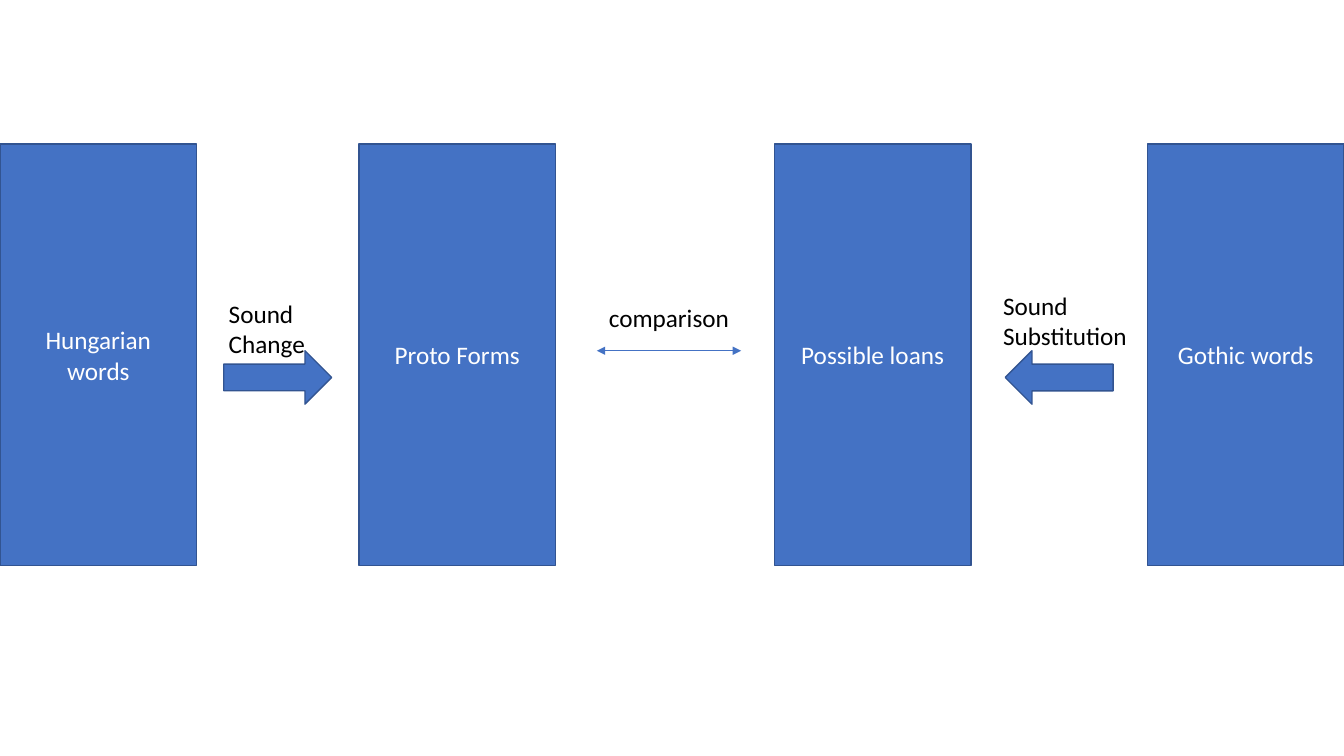
from dataclasses import dataclass

import lxml.etree
import pptx
import pptx.dml.color
import pptx.enum.shapes
import pptx.enum.text
import pptx.oxml.ns
import pptx.shapes.autoshape
import pptx.slide
import pptx.text.text
import pptx.util

Inches = pptx.util.Inches
COLORS = {"fill": "4472C4", "outline": "325491", "light": "FFFFFF", "dark": "000000"}
FONT = "Calibri"
STAGE_TOP, STAGE_WIDTH, STAGE_HEIGHT = 1.43, 1.95, 4.18
ARROW_TOP, ARROW_WIDTH, ARROW_HEIGHT = 3.48, 1.07, 0.53


@dataclass
class Stage:
    text: str
    left: float


@dataclass
class BlockArrow:
    left: float
    rotation: int


@dataclass
class Label:
    text: str
    left: float
    top: float
    width: float
    height: float


STAGES = [
    Stage("Hungarian\nwords", 0),
    Stage("Possible loans", 7.68),
    Stage("Proto Forms", 3.56),
    Stage("Gothic words", 11.38),
]
BLOCK_ARROWS = [BlockArrow(2.22, 0), BlockArrow(9.97, 180)]
LABELS = [
    Label("Sound Change", 2.17, 2.91, 1.31, 0.71),
    Label("Sound\nSubstitution", 9.85, 2.83, 1.53, 0.71),
    Label("comparison", 5.94, 2.95, 1.48, 0.4),
]


def color(name: str) -> pptx.dml.color.RGBColor:
    return pptx.dml.color.RGBColor.from_string(COLORS[name])


def write_text(frame: pptx.text.text.TextFrame, text: str, color_name: str,
               alignment: pptx.enum.text.PP_ALIGN) -> None:
    frame.word_wrap = True
    frame.text = text
    for para in frame.paragraphs:
        para.alignment = alignment
        para.font.name = FONT
        para.font.size = pptx.util.Pt(18)
        para.font.color.rgb = color(color_name)


def add_block(page: pptx.slide.Slide, kind: pptx.enum.shapes.MSO_SHAPE, left: float,
              top: float, width: float, height: float) -> pptx.shapes.autoshape.Shape:
    block = page.shapes.add_shape(
        kind, Inches(left), Inches(top), Inches(width), Inches(height))
    block.shadow.inherit = False
    block.fill.solid()
    block.fill.fore_color.rgb = color("fill")
    block.line.color.rgb = color("outline")
    block.line.width = pptx.util.Pt(1)
    return block


def add_stage(page: pptx.slide.Slide, stage: Stage) -> None:
    box = add_block(page, pptx.enum.shapes.MSO_SHAPE.RECTANGLE,
                    stage.left, STAGE_TOP, STAGE_WIDTH, STAGE_HEIGHT)
    box.text_frame.vertical_anchor = pptx.enum.text.MSO_ANCHOR.MIDDLE
    write_text(box.text_frame, stage.text, "light", pptx.enum.text.PP_ALIGN.CENTER)


def add_block_arrow(page: pptx.slide.Slide, arrow: BlockArrow) -> None:
    shape = add_block(page, pptx.enum.shapes.MSO_SHAPE.RIGHT_ARROW,
                      arrow.left, ARROW_TOP, ARROW_WIDTH, ARROW_HEIGHT)
    shape.rotation = arrow.rotation


def add_double_arrow(page: pptx.slide.Slide, start: float, end: float, y: float) -> None:
    link = page.shapes.add_connector(
        pptx.enum.shapes.MSO_CONNECTOR.STRAIGHT,
        Inches(start), Inches(y), Inches(end), Inches(y))
    link.line.color.rgb = color("fill")
    link.line.width = pptx.util.Pt(0.5)
    outline = link.line._get_or_add_ln()
    for tag in ("a:headEnd", "a:tailEnd"):
        lxml.etree.SubElement(outline, pptx.oxml.ns.qn(tag), type="triangle")
    lxml.etree.SubElement(link._element.spPr, pptx.oxml.ns.qn("a:effectLst"))


def add_label(page: pptx.slide.Slide, label: Label) -> None:
    box = page.shapes.add_textbox(Inches(label.left), Inches(label.top),
                                  Inches(label.width), Inches(label.height))
    write_text(box.text_frame, label.text, "dark", pptx.enum.text.PP_ALIGN.LEFT)
    box.text_frame.auto_size = pptx.enum.text.MSO_AUTO_SIZE.SHAPE_TO_FIT_TEXT


def main() -> None:
    deck = pptx.Presentation()
    deck.slide_width, deck.slide_height = Inches(13.33), Inches(7.5)
    page = deck.slides.add_slide(deck.slide_layouts.get_by_name("Blank"))

    # Word lists and derived forms
    for stage in STAGES:
        add_stage(page, stage)

    # Steps between them
    for arrow in BLOCK_ARROWS:
        add_block_arrow(page, arrow)
    add_double_arrow(page, 5.92, 7.35, ARROW_TOP)

    # Names of the steps
    for label in LABELS:
        add_label(page, label)

    deck.save("out.pptx")


if __name__ == "__main__":
    main()
